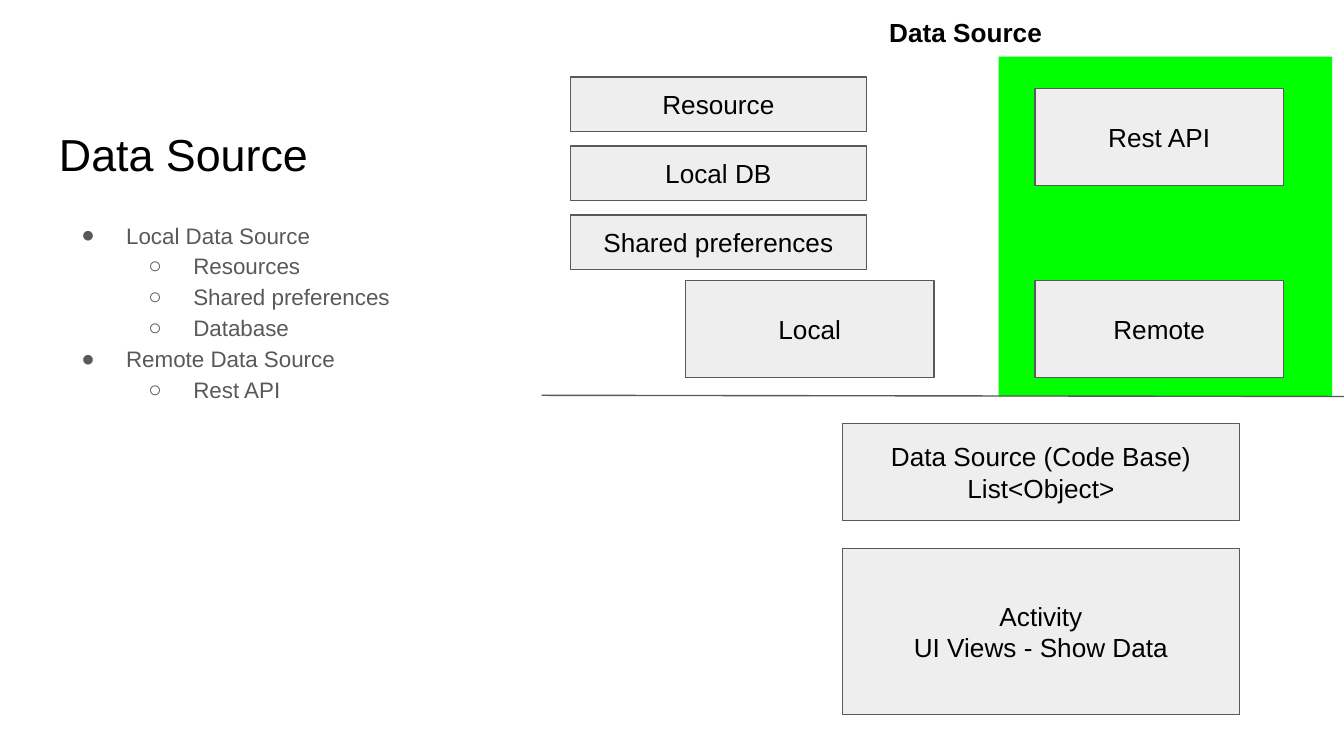
"""Build the Data Source architecture slide."""
from lxml import etree
from pptx import Presentation
from pptx.dml.color import RGBColor
from pptx.enum.shapes import MSO_CONNECTOR, MSO_SHAPE
from pptx.enum.text import MSO_ANCHOR, PP_ALIGN
from pptx.oxml.ns import qn
from pptx.util import Pt

RECTANGLE = MSO_SHAPE.RECTANGLE
STRAIGHT = MSO_CONNECTOR.STRAIGHT
TOP, MIDDLE, BOTTOM = MSO_ANCHOR.TOP, MSO_ANCHOR.MIDDLE, MSO_ANCHOR.BOTTOM
LEFT, CENTER = PP_ALIGN.LEFT, PP_ALIGN.CENTER

BLACK = RGBColor(0x00, 0x00, 0x00)
GRAY = RGBColor(0x59, 0x59, 0x59)
PALE = RGBColor(0xEE, 0xEE, 0xEE)
GREEN = RGBColor(0x00, 0xFF, 0x00)
FONT = "Arial"
INSET = Pt(7.2)

TITLE = "Data Source"
OUTLINE = [
    ("Local Data Source", ["Resources", "Shared preferences", "Database"]),
    ("Remote Data Source", ["Rest API"]),
]
BULLETS = "●○"
LOCAL_STORES = ["Resource", "Local DB", "Shared preferences"]
STORE_LEFT, STORE_TOP, STORE_STEP = 305.5, 41.2, 37
STORE_SIZE = (158.8, 29.2)
SOURCE_SIZE = (133.2, 52)
LOCAL_LEFT, REMOTE_LEFT = 367.2, 554.4
SOURCE_TOP, API_TOP = 150.2, 47.3
CODE_LEFT, CODE_WIDTH = 451.4, 212.6

BOXES = [
    (["Activity", "UI Views - Show Data"], (CODE_LEFT, 293.8, CODE_WIDTH, 89)),
    (["Data Source (Code Base)", "List<Object>"], (CODE_LEFT, 226.8, CODE_WIDTH, 52.2)),
    (["Local"], (LOCAL_LEFT, SOURCE_TOP, *SOURCE_SIZE)),
    (["Remote"], (REMOTE_LEFT, SOURCE_TOP, *SOURCE_SIZE)),
    (["Rest API"], (REMOTE_LEFT, API_TOP, *SOURCE_SIZE)),
] + [
    ([name], (STORE_LEFT, STORE_TOP + row * STORE_STEP, *STORE_SIZE))
    for row, name in enumerate(LOCAL_STORES)
]


def write(shape, lines, size, color=BLACK, align=CENTER, anchor=MIDDLE, bold=False):
    frame = shape.text_frame
    frame.word_wrap = True
    frame.vertical_anchor = anchor
    frame.margin_left = frame.margin_right = INSET
    frame.margin_top = frame.margin_bottom = INSET
    for index, line in enumerate(lines):
        para = frame.paragraphs[0] if index == 0 else frame.add_paragraph()
        para.alignment = align
        span = para.add_run()
        span.text = line
        span.font.name = FONT
        span.font.size = Pt(size)
        span.font.bold = bold
        span.font.color.rgb = color


def add_text(page, lines, place, size, **style):
    box = page.shapes.add_textbox(*map(Pt, place))
    write(box, lines, size, **style)
    return box


def add_rectangle(page, place, fill):
    box = page.shapes.add_shape(RECTANGLE, *map(Pt, place))
    box.shadow.inherit = False
    box.fill.solid()
    box.fill.fore_color.rgb = fill
    box.line.fill.background()
    return box


def set_bullet(para, level):
    para.level = level
    para.line_spacing = 1.15
    properties = para._p.get_or_add_pPr()
    properties.set("marL", str(Pt(36 * (level + 1))))
    properties.set("indent", str(-Pt(24)))
    color = etree.SubElement(properties, qn("a:buClr"))
    etree.SubElement(color, qn("a:srgbClr"), val=str(GRAY))
    etree.SubElement(properties, qn("a:buFont"), typeface=FONT)
    etree.SubElement(properties, qn("a:buChar"), char=BULLETS[level])


def add_outline(page):
    items = []
    for heading, children in OUTLINE:
        items.append((heading, 0))
        items.extend((child, 1) for child in children)
    box = add_text(page, [text for text, _ in items], (24.5, 109.4, 221, 250.6), 12,
                   color=GRAY, align=LEFT, anchor=TOP)
    for para, (_, level) in zip(box.text_frame.paragraphs, items):
        set_bullet(para, level)


def add_divider(page):
    divider = page.shapes.add_connector(STRAIGHT, Pt(290.2), Pt(211.8), Pt(722.2), Pt(212.4))
    divider.line.color.rgb = GRAY
    divider.line.width = Pt(0.75)
    etree.SubElement(divider._element.spPr, qn("a:effectLst"))


def main():
    deck = Presentation()
    deck.slide_width, deck.slide_height = Pt(720), Pt(405)
    page = deck.slides.add_slide(deck.slide_layouts[6])
    add_rectangle(page, (535, 30.4, 178.6, 182), GREEN)
    add_text(page, [TITLE], (24.5, 43.9, 221, 59.8), 24, align=LEFT, anchor=BOTTOM)
    add_outline(page)
    for lines, place in BOXES:
        box = add_rectangle(page, place, PALE)
        box.line.color.rgb = GRAY
        box.line.width = Pt(0.75)
        write(box, lines, 14)
    add_divider(page)
    add_text(page, [TITLE], (357.1, 1.4, 320.4, 31.7), 14, anchor=TOP, bold=True)
    deck.save("out.pptx")


if __name__ == "__main__":
    main()
